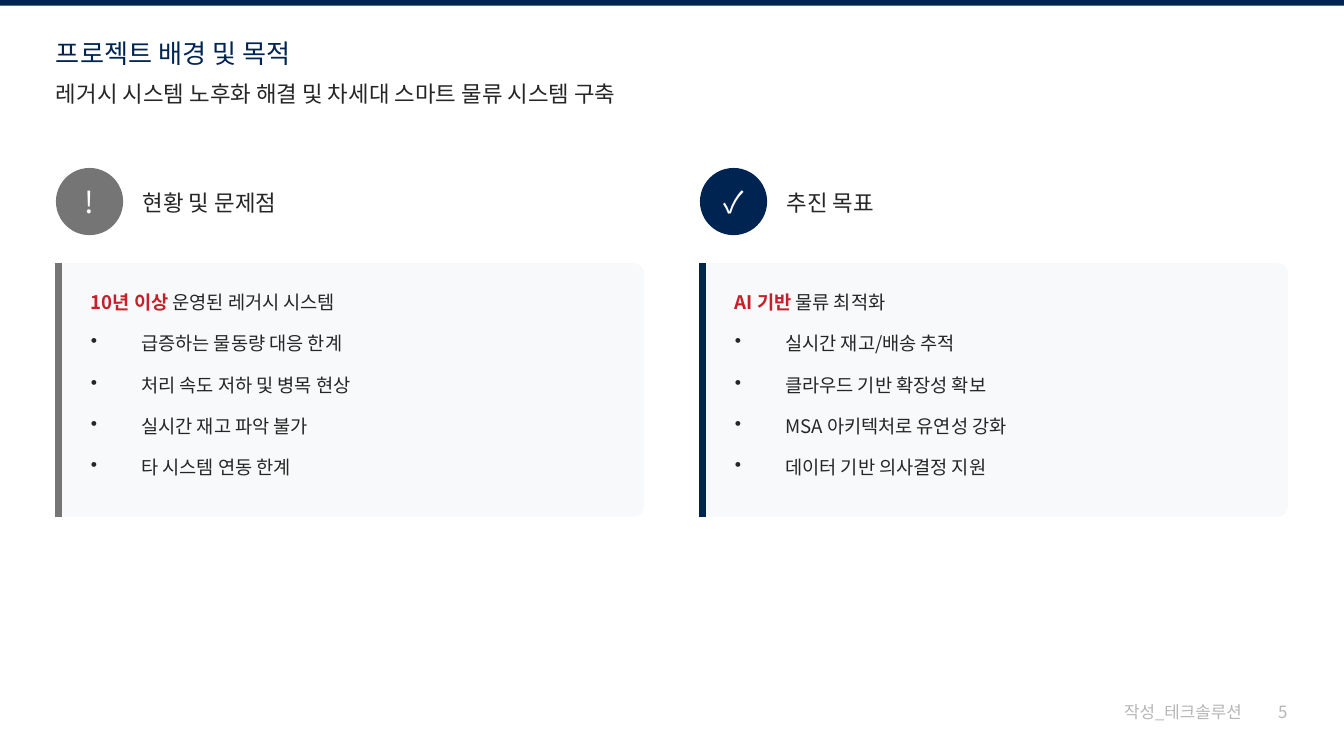
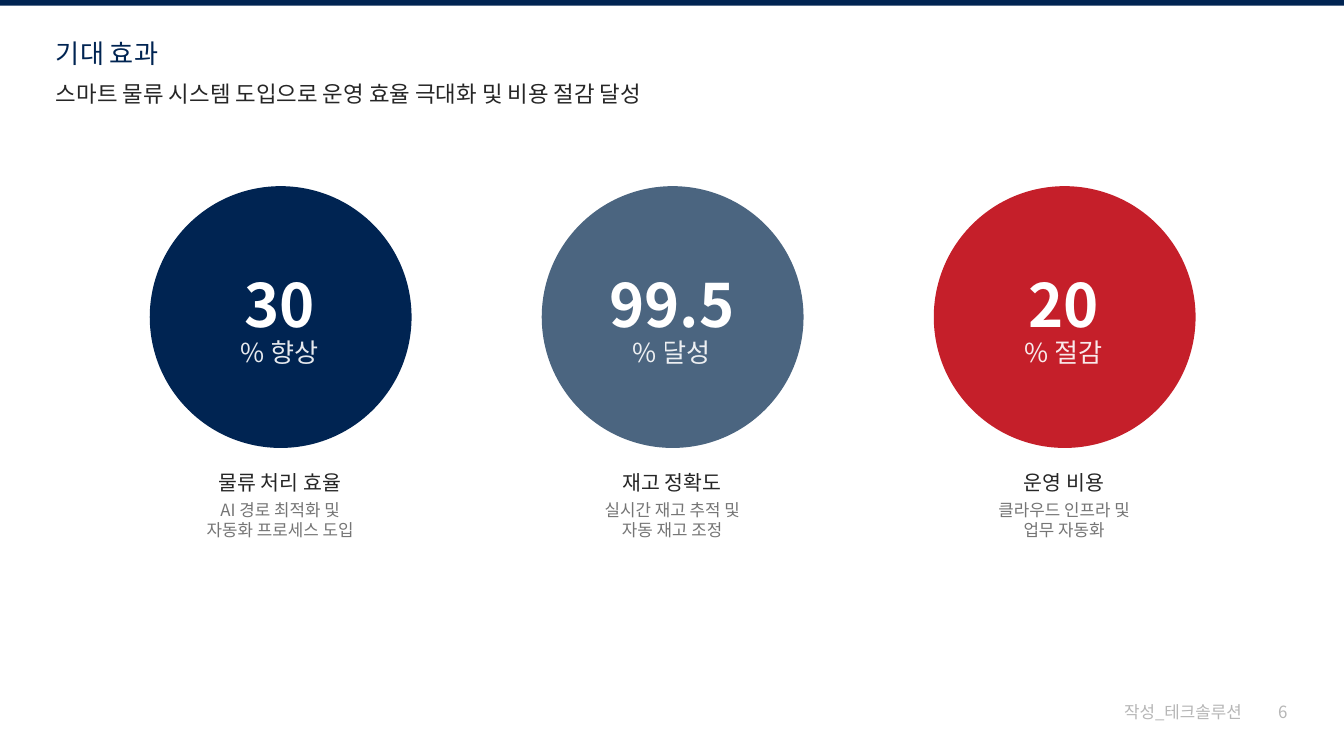
from lxml.etree import SubElement
from pptx import Presentation
from pptx.dml.color import RGBColor
from pptx.enum.shapes import MSO_CONNECTOR, MSO_SHAPE
from pptx.enum.text import MSO_ANCHOR, MSO_AUTO_SIZE, PP_ALIGN
from pptx.oxml.ns import qn
from pptx.util import Emu, Pt

NAVY = RGBColor(0x00, 0x24, 0x52)
STEEL = RGBColor(0x4B, 0x65, 0x80)
RED = RGBColor(0xC5, 0x1F, 0x2A)
INK = RGBColor(0x26, 0x26, 0x26)
GRAY = RGBColor(0x75, 0x75, 0x75)
PALE_GRAY = RGBColor(0xB6, 0xB6, 0xB6)
CARD = RGBColor(0xF8, 0xF9, 0xFA)
WHITE = RGBColor(0xFF, 0xFF, 0xFF)

FONT = "Noto Sans CJK KR"
EMU_PER_PX = 9525
SLIDE_WIDTH, SLIDE_HEIGHT = 960, 540
MARGIN = 40


def px(length):
    return Emu(length * EMU_PER_PX)


class Deck:
    """Holds the shared style and the current slide, and draws each kind of element."""

    def __init__(self):
        self.presentation = Presentation()
        self.presentation.slide_width = px(SLIDE_WIDTH)
        self.presentation.slide_height = px(SLIDE_HEIGHT)
        self.slide = None

    def start_slide(self, title, subtitle, number):
        layout = self.presentation.slide_layouts.get_by_name("Title Only")
        self.slide = self.presentation.slides.add_slide(layout)
        self.shape(MSO_SHAPE.RECTANGLE, 0, 0, SLIDE_WIDTH, 4, NAVY)
        placeholder = self.slide.shapes.title
        placeholder.left, placeholder.top = px(MARGIN), px(27)
        placeholder.width, placeholder.height = px(470), px(22)
        self.add_lines(placeholder.text_frame, [title], 14, NAVY)
        self.text(MARGIN, 57, 470, 18, [subtitle], 12, INK)
        self.text(803, 501, 92, 14, ["작성_테크솔루션"], 9, PALE_GRAY)
        self.text(913, 501, 8, 14, [str(number)], 9, PALE_GRAY)

    def shape(self, kind, left, top, width, height, color):
        shape = self.slide.shapes.add_shape(kind, px(left), px(top), px(width), px(height))
        shape.shadow.inherit = False
        shape.fill.solid()
        shape.fill.fore_color.rgb = color
        shape.line.fill.background()
        return shape

    def line(self, left, top, bottom, color, weight):
        connector = self.slide.shapes.add_connector(
            MSO_CONNECTOR.STRAIGHT, px(left), px(top), px(left), px(bottom))
        connector.line.color.rgb = color
        connector.line.width = Pt(weight)
        SubElement(connector._element.spPr, qn("a:effectLst"))

    def run(self, paragraph, text, size, color, bold=False, opacity=100):
        run = paragraph.add_run()
        run.text = text
        run.font.name = FONT
        run.font.size = Pt(size)
        run.font.bold = bold
        run.font.color.rgb = color
        properties = run._r.get_or_add_rPr()
        SubElement(properties, qn("a:ea")).set("typeface", FONT)
        if opacity < 100:
            rgb = properties.find(f"{qn('a:solidFill')}/{qn('a:srgbClr')}")
            SubElement(rgb, qn("a:alpha")).set("val", str(opacity * 1000))

    def prepare(self, frame):
        frame.margin_left = frame.margin_top = frame.margin_right = frame.margin_bottom = 0
        frame.auto_size = MSO_AUTO_SIZE.NONE
        frame.vertical_anchor = MSO_ANCHOR.TOP
        frame.word_wrap = True

    def add_lines(self, frame, lines, size, color, align=PP_ALIGN.LEFT, **style):
        self.prepare(frame)
        for index, line in enumerate(lines):
            paragraph = frame.add_paragraph() if index else frame.paragraphs[0]
            paragraph.alignment = align
            self.run(paragraph, line, size, color, **style)

    def text(self, left, top, width, height, lines, size, color, **style):
        box = self.slide.shapes.add_textbox(px(left), px(top), px(width), px(height))
        self.add_lines(box.text_frame, lines, size, color, **style)

    def centered(self, center, top, width, height, lines, size, color, **style):
        self.text(center - width // 2, top, width, height, lines, size, color,
                  align=PP_ALIGN.CENTER, **style)

    def bullet_list(self, left, top, width, height, highlight, lead, items):
        box = self.slide.shapes.add_textbox(px(left), px(top), px(width), px(height))
        frame = box.text_frame
        self.prepare(frame)
        paragraph = frame.paragraphs[0]
        paragraph.space_after = Pt(10)
        self.run(paragraph, highlight, 10, RED, bold=True)
        self.run(paragraph, lead, 10, INK)
        for item in items:
            paragraph = frame.add_paragraph()
            paragraph.space_after = Pt(10)
            properties = paragraph._p.get_or_add_pPr()
            properties.set("marL", str(px(36)))
            properties.set("indent", str(px(-36)))
            bullet_color = SubElement(properties, qn("a:buClr"))
            SubElement(bullet_color, qn("a:srgbClr")).set("val", str(INK))
            SubElement(properties, qn("a:buChar")).set("char", "•")
            self.run(paragraph, item, 10, INK)

    def topic(self, left, color, symbol, heading, highlight, lead, items):
        self.shape(MSO_SHAPE.OVAL, left, 120, 48, 48, color)
        self.centered(left + 24, 131, 20, 26, [symbol], 16, WHITE)
        self.text(left + 62, 135, 110, 18, [heading], 12, INK)
        card = self.shape(MSO_SHAPE.ROUNDED_RECTANGLE, left, 188, 420, 181, CARD)
        card.adjustments[0] = 0.04
        self.line(left + 2, 188, 369, color, 3.75)
        self.bullet_list(left + 25, 208, 375, 129, highlight, lead, items)

    def metric(self, center, color, value, value_width, unit, heading, description):
        self.shape(MSO_SHAPE.OVAL, center - 93, 133, 187, 187, color)
        self.centered(center, 191, value_width, 49, [value], 32, WHITE, bold=True)
        self.centered(center, 240, 64, 22, [unit], 14, WHITE, opacity=90)
        self.centered(center, 336, 264, 16, [heading], 11, INK)
        self.centered(center, 357, 264, 28, description, 9, GRAY)


def background_slide(deck):
    deck.start_slide("프로젝트 배경 및 목적",
                     "레거시 시스템 노후화 해결 및 차세대 스마트 물류 시스템 구축", 5)
    topics = [
        (GRAY, "!", "현황 및 문제점", "10년 이상", " 운영된 레거시 시스템",
         ["급증하는 물동량 대응 한계", "처리 속도 저하 및 병목 현상",
          "실시간 재고 파악 불가", "타 시스템 연동 한계"]),
        (NAVY, "✓", "추진 목표", "AI 기반", " 물류 최적화",
         ["실시간 재고/배송 추적", "클라우드 기반 확장성 확보",
          "MSA 아키텍처로 유연성 강화", "데이터 기반 의사결정 지원"]),
    ]
    for index, topic in enumerate(topics):
        deck.topic(MARGIN + 460 * index, *topic)


def effects_slide(deck):
    deck.start_slide("기대 효과",
                     "스마트 물류 시스템 도입으로 운영 효율 극대화 및 비용 절감 달성", 6)
    metrics = [
        (NAVY, "30", 52, "% 향상", "물류 처리 효율",
         ["AI 경로 최적화 및", "자동화 프로세스 도입"]),
        (STEEL, "99.5", 92, "% 달성", "재고 정확도",
         ["실시간 재고 추적 및", "자동 재고 조정"]),
        (RED, "20", 52, "% 절감", "운영 비용",
         ["클라우드 인프라 및", "업무 자동화"]),
    ]
    for index, metric in enumerate(metrics):
        deck.metric(200 + 280 * index, *metric)


def main():
    deck = Deck()
    background_slide(deck)
    effects_slide(deck)
    deck.presentation.save("out.pptx")


if __name__ == "__main__":
    main()
